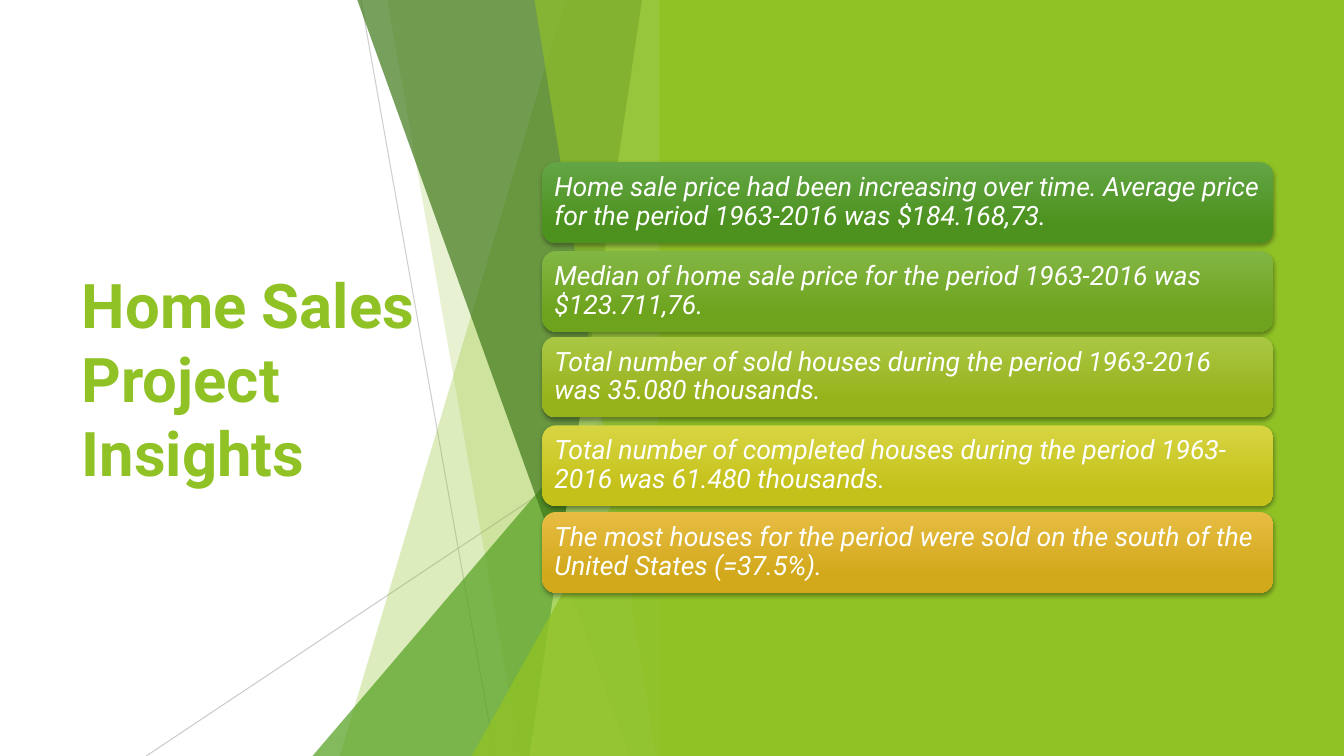
from lxml import etree
from pptx import Presentation
from pptx.dml.color import RGBColor
from pptx.enum.shapes import MSO_CONNECTOR, MSO_SHAPE
from pptx.enum.text import MSO_ANCHOR, MSO_AUTO_SIZE, PP_ALIGN
from pptx.oxml.ns import qn
from pptx.util import Pt

PX = 9144
WIDTH, HEIGHT = 1333, 750
FONT = "Roboto"
GREEN = "90C226"
STRAIGHT = MSO_CONNECTOR.STRAIGHT
TRIANGLE, RECTANGLE, ROUNDED = MSO_SHAPE.ISOSCELES_TRIANGLE, MSO_SHAPE.RECTANGLE, MSO_SHAPE.ROUNDED_RECTANGLE
LEFT, MIDDLE, NO_FIT = PP_ALIGN.LEFT, MSO_ANCHOR.MIDDLE, MSO_AUTO_SIZE.NONE


def rgb(hex_color):
    return RGBColor.from_string(hex_color)


def set_opacity(color_format, percent):
    color = color_format._xFill.find(qn("a:srgbClr"))
    etree.SubElement(color, qn("a:alpha"), val=str(percent * 1000))


prs = Presentation()
prs.slide_width, prs.slide_height = WIDTH * PX, HEIGHT * PX
slide = prs.slides.add_slide(prs.slide_layouts[5])
shapes = slide.shapes

title = shapes.title
title.left, title.top, title.width, title.height = [v * PX for v in (71, 151, 388, 448)]
title_frame = title.text_frame
title_frame.text = "Home Sales Project Insights"
title_frame.word_wrap = True
title_frame.auto_size = NO_FIT
title_frame.vertical_anchor = MIDDLE
heading = title_frame.paragraphs[0]
heading.alignment = LEFT
heading.space_after = Pt(6)
heading.font.name, heading.font.size, heading.font.bold = FONT, Pt(44), True
heading.font.color.rgb = rgb(GREEN)

for x1, y1, x2, y2, opacity in [(358, 0, 491, 750, 75), (666, 403, 145, 750, 80)]:
    ray = shapes.add_connector(STRAIGHT, x1 * PX, y1 * PX, x2 * PX, y2 * PX)
    ray.line.width = Pt(0.75)
    ray.line.color.rgb = rgb("BFBFBF")
    set_opacity(ray.line.fill._fill, opacity) if hasattr(ray.line.fill._fill, "_xFill") else etree.SubElement(
        ray.line._ln.find(qn("a:solidFill"))[0], qn("a:alpha"), val=str(opacity * 1000))
    etree.SubElement(ray._element.spPr, qn("a:effectLst"))

shards = [
    ([(561, -1), (666, -1), (666, 750), (337, 750)], GREEN, 30),
    ([(384, -1), (667, -1), (667, 750), (516, 750)], GREEN, 20),
    ([(666, 333), (666, 750), (310, 750)], "54A021", 72),
    ([(354, -1), (666, -1), (666, 750), (624, 750)], "3F7819", 70),
    ([(637, -1), (666, -1), (666, 750), (525, 750)], "C0E474", 70),
    ([(530, -1), (666, -1), (666, 750), (651, 750)], GREEN, 65),
    ([(667, 393), (667, 750), (468, 750)], GREEN, 80),
]
for corners, color, opacity in shards:
    if len(corners) == 3:
        (right, top), (_, bottom), (left, _) = corners
        shard = shapes.add_shape(TRIANGLE, left * PX, top * PX, (right - left) * PX, (bottom - top) * PX)
        shard.adjustments[0] = 1
    else:
        outline = shapes.build_freeform(*corners[0], scale=PX)
        outline.add_line_segments(corners[1:], close=True)
        shard = outline.convert_to_shape()
    shard.shadow.inherit = False
    shard.line.fill.background()
    shard.fill.solid()
    shard.fill.fore_color.rgb = rgb(color)
    set_opacity(shard.fill.fore_color, opacity)

panel = shapes.add_shape(RECTANGLE, 654 * PX, 0, (WIDTH - 654) * PX, HEIGHT * PX)
panel.shadow.inherit = False
panel.line.fill.background()
panel.fill.solid()
panel.fill.fore_color.rgb = rgb(GREEN)

insights = [
    (161, "63A545", "4D921E", "Home sale price had been increasing over time. "
     "Average price for the period 1963-2016 was $184.168,73."),
    (249, "82B644", "6EA31D", "Median of home sale price for the period 1963-2016 was $123.711,76."),
    (334, "AAC744", "97B31C", "Total number of sold houses during the period 1963-2016 was 35.080 thousands."),
    (422, "D8D543", "C4C11A", "Total number of completed houses during the period 1963-2016 was 61.480 thousands."),
    (508, "E7BC43", "D2A91B", "The most houses for the period were sold on the south of the United States (=37.5%)."),
]
for top, light, dark, wording in insights:
    card = shapes.add_shape(ROUNDED, 538 * PX, top * PX, 725 * PX, 80 * PX)
    card.line.fill.background()
    card.fill.gradient()
    card.fill.gradient_angle = 270
    for stop, color, position in zip(card.fill.gradient_stops, (light, dark), (0, 0.78)):
        stop.color.rgb = rgb(color)
        stop.position = position

    card.shadow.inherit = False
    effects = card._element.spPr.find(qn("a:effectLst"))
    shadow = etree.SubElement(effects, qn("a:outerShdw"), blurRad=str(Pt(3)), dist=str(Pt(2)),
                              dir="5400000", rotWithShape="0")
    shade = etree.SubElement(shadow, qn("a:srgbClr"), val="000000")
    etree.SubElement(shade, qn("a:alpha"), val="35000")

    frame = card.text_frame
    frame.text = wording
    frame.word_wrap = True
    frame.vertical_anchor = MIDDLE
    frame.margin_left = frame.margin_right = frame.margin_top = frame.margin_bottom = 8 * PX
    insight = frame.paragraphs[0]
    insight.alignment = LEFT
    insight.line_spacing = 0.9
    insight.font.name, insight.font.size, insight.font.italic = FONT, Pt(19), True
    insight.font.color.rgb = rgb("FFFFFF")

prs.save("out.pptx")
